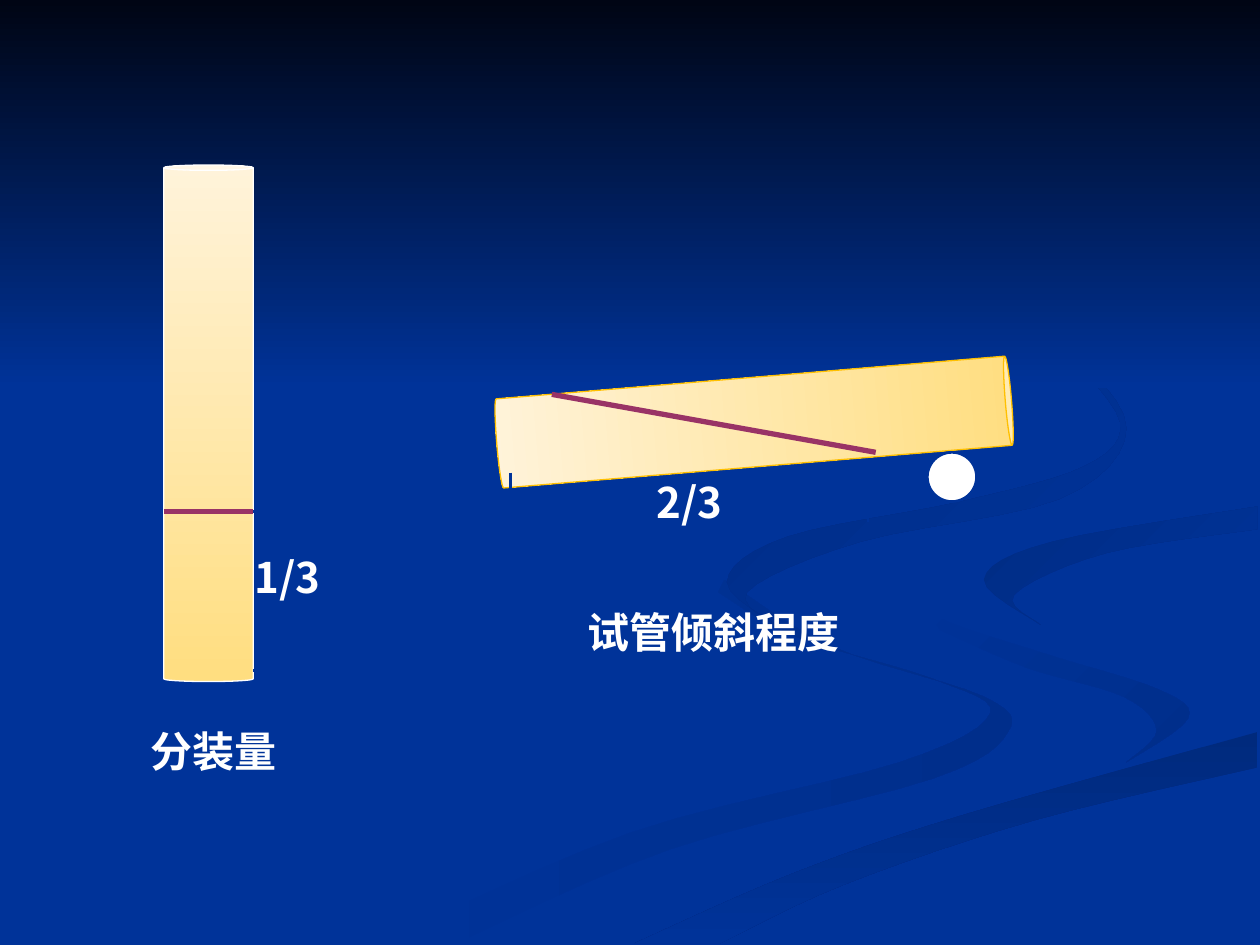
from pptx import Presentation
from pptx.dml.color import RGBColor
from pptx.enum.shapes import MSO_CONNECTOR as Connector, MSO_SHAPE as Shape
from pptx.enum.text import MSO_ANCHOR as Anchor, PP_ALIGN as Align
from pptx.oxml.ns import qn
from pptx.util import Inches, Pt
from lxml.etree import SubElement

BLUE = RGBColor(0x00, 0x33, 0x99)
NIGHT = RGBColor(0x00, 0x05, 0x14)
RIBBON = RGBColor(0x00, 0x2E, 0x8B)
RIBBON_DARK = RGBColor(0x00, 0x2A, 0x7D)
RIBBON_MID = RGBColor(0x00, 0x2C, 0x84)
AMBER = RGBColor(0xFF, 0xDE, 0x80)
CREAM = RGBColor(0xFF, 0xF3, 0xDA)
GOLD = RGBColor(0xFF, 0xC0, 0x00)
PLUM = RGBColor(0x99, 0x33, 0x66)
WHITE = RGBColor(0xFF, 0xFF, 0xFF)
FONT = "Noto Sans CJK SC"
CURVE_STEPS = 6

# Ribbons, back to front: first colour, last colour, angle, and two edges to smooth
RIBBONS = [
    (BLUE, RIBBON, 0,
     [(3.61, 7.49), (5.32, 6.74), (7.4, 6.18), (8, 5.81), (7.81, 5.53), (6.6, 5.13), (5.75, 4.6)],
     [(5.7, 4.7), (6.31, 5.05), (7.41, 5.39), (7.86, 5.66), (7.14, 6.05), (5, 6.61), (3, 7.49)]),
    (BLUE, RIBBON, 45,
     [(7.24, 4.64), (7.45, 4.9), (8.3, 5.19), (9.19, 5.47), (9.43, 5.7), (8.94, 6.05)],
     [(8.94, 6.05), (9.18, 5.8), (8.92, 5.53), (8.15, 5.3), (7.46, 5)]),
    (RIBBON_DARK, BLUE, 90,
     [(5.03, 7.49), (6.3, 6.93), (7.64, 6.47), (9.98, 5.81)],
     [(9.98, 6.09), (8.21, 6.51), (6.7, 7.02), (5.71, 7.49)]),
    (RIBBON_MID, BLUE, 45,
     [(8.26, 4.96), (7.81, 4.6), (8.35, 4.3), (9.98, 4.02)],
     [(9.98, 4.2), (8.78, 4.39), (8.05, 4.72), (8.26, 4.96)]),
    (RIBBON_MID, BLUE, 45,
     [(7.62, 2.33), (8.43, 2.75), (8.94, 3.4), (8.41, 3.96), (6.83, 4.3), (5.93, 4.7), (6.22, 5)],
     [(6.22, 5), (5.77, 4.62), (6.25, 4.26), (7.63, 3.98), (8.61, 3.7), (8.89, 3.35),
      (8.46, 2.79)]),
]


def smooth(knots):
    """Points along a Catmull-Rom curve through the knots."""
    padded = [knots[0], *knots, knots[-1]]
    points = []
    for before, start, end, after in zip(padded, padded[1:], padded[2:], padded[3:]):
        for step in range(CURVE_STEPS):
            t = step / CURVE_STEPS
            points.append(tuple(
                b + ((c - a) * t + (2 * a - 5 * b + 4 * c - d) * t ** 2
                     + (3 * b - a - 3 * c + d) * t ** 3) / 2
                for a, b, c, d in zip(before, start, end, after)))
    return points + [knots[-1]]


def paint(shape, first, last=None, angle=0):
    """Fill with one colour, or with a gradient at a clockwise angle."""
    shape.shadow.inherit = False
    if last is None:
        shape.fill.solid()
        shape.fill.fore_color.rgb = first
        return
    shape.fill.gradient()
    shape.fill.gradient_angle = (360 - angle) % 360
    for stop, color in zip(shape.fill.gradient_stops, (first, last)):
        stop.color.rgb = color


def add_line(page, start, end, color=BLUE, width=1.5):
    line = page.shapes.add_connector(
        Connector.STRAIGHT, *[Inches(value) for value in (*start, *end)])
    line.line.color.rgb = color
    line.line.width = Pt(width)
    SubElement(line._element.spPr, qn("a:effectLst"))


def add_label(page, text, left, top, width, height):
    box = page.shapes.add_textbox(*[Inches(value) for value in (left, top, width, height)])
    frame = box.text_frame
    frame.word_wrap = False
    frame.vertical_anchor = Anchor.MIDDLE
    frame.margin_left = frame.margin_right = frame.margin_top = frame.margin_bottom = 0
    para = frame.paragraphs[0]
    para.alignment = Align.CENTER
    span = para.add_run()
    span.text = text
    span.font.name = FONT
    span.font.size = Pt(24)
    span.font.bold = True
    span.font.color.rgb = WHITE
    SubElement(span.font._element, qn("a:ea"), typeface=FONT)


def add_tube(page, left, top, edge, rim, angle, rotation=0):
    tube = page.shapes.add_shape(
        Shape.CAN, Inches(left), Inches(top), Inches(0.71), Inches(4.1))
    tube.adjustments[0] = rim
    tube.rotation = rotation
    paint(tube, AMBER, CREAM, angle)
    tube.line.color.rgb = edge
    tube.line.width = Pt(0.75)


def draw_backdrop(page, left, top):
    page.background.fill.solid()
    page.background.fill.fore_color.rgb = BLUE
    group = page.shapes.add_group_shape()
    for first, last, angle, *edges in RIBBONS:
        points = [(Inches(left + x), Inches(top + y)) for edge in edges for x, y in smooth(edge)]
        builder = group.shapes.build_freeform(*points[0])
        builder.add_line_segments(points[1:], close=True)
        ribbon = builder.convert_to_shape()
        paint(ribbon, first, last, angle)
        ribbon.line.fill.background()
    # Night sky across the top
    sky = group.shapes.add_shape(
        Shape.RECTANGLE, Inches(left), Inches(top), Inches(10), Inches(3.08))
    paint(sky, NIGHT, BLUE, 90)
    sky.line.fill.background()


def draw_filling(page, left, top):
    """Upright tube, filled to one third."""
    right, level, bottom = left + 0.71, top + 2.75, top + 4.01
    add_tube(page, left, top, WHITE, 0.06, 270)
    # Dimension marks
    for y in (bottom, level):
        add_line(page, (right, y), (right + 0.47, y))
    middle = right + 0.23
    add_line(page, (middle, bottom - 0.39), (middle, bottom))
    add_line(page, (middle, level), (middle, level + 0.32))
    add_label(page, "1/3", right, top + 2.99, 0.55, 0.55)
    add_line(page, (left, level), (right, level), PLUM, 3)
    add_label(page, "分装量", left - 0.63, top + 4.33, 2.05, 0.63)


def draw_tilting(page, left, top):
    """Tube leaning on a round rest, with its slanted surface."""
    add_tube(page, left + 1.7, top - 1.5, GOLD, 0.07, 90, rotation=85.2)
    add_line(page, (left + 0.45, top + 0.33), (left + 3.02, top + 0.79), PLUM, 3)
    # Dimension marks
    start, end, middle = left + 0.12, left + 2.96, top + 1.19
    for x in (start, end):
        add_line(page, (x, top + 0.95), (x, top + 1.34))
    add_line(page, (start, middle), (left + 1.15, middle))
    add_line(page, (left + 2.01, middle), (end, middle))
    add_label(page, "2/3", left + 1.15, top + 0.95, 0.79, 0.47)
    add_label(page, "试管倾斜程度", left + 0.2, top + 1.82, 3.07, 0.79)
    # Round rest
    rest = page.shapes.add_shape(
        Shape.OVAL, Inches(left + 3.43), Inches(top + 0.79), Inches(0.39), Inches(0.39))
    paint(rest, WHITE)
    rest.line.color.rgb = BLUE
    rest.line.width = Pt(1.5)


def main():
    deck = Presentation()
    deck.slide_width, deck.slide_height = Inches(10), Inches(7.5)
    page = deck.slides.add_slide(deck.slide_layouts[6])
    draw_backdrop(page, 0, 0)
    draw_filling(page, 1.3, 1.31)
    draw_tilting(page, 3.93, 2.8)
    deck.save("out.pptx")


if __name__ == "__main__":
    main()
